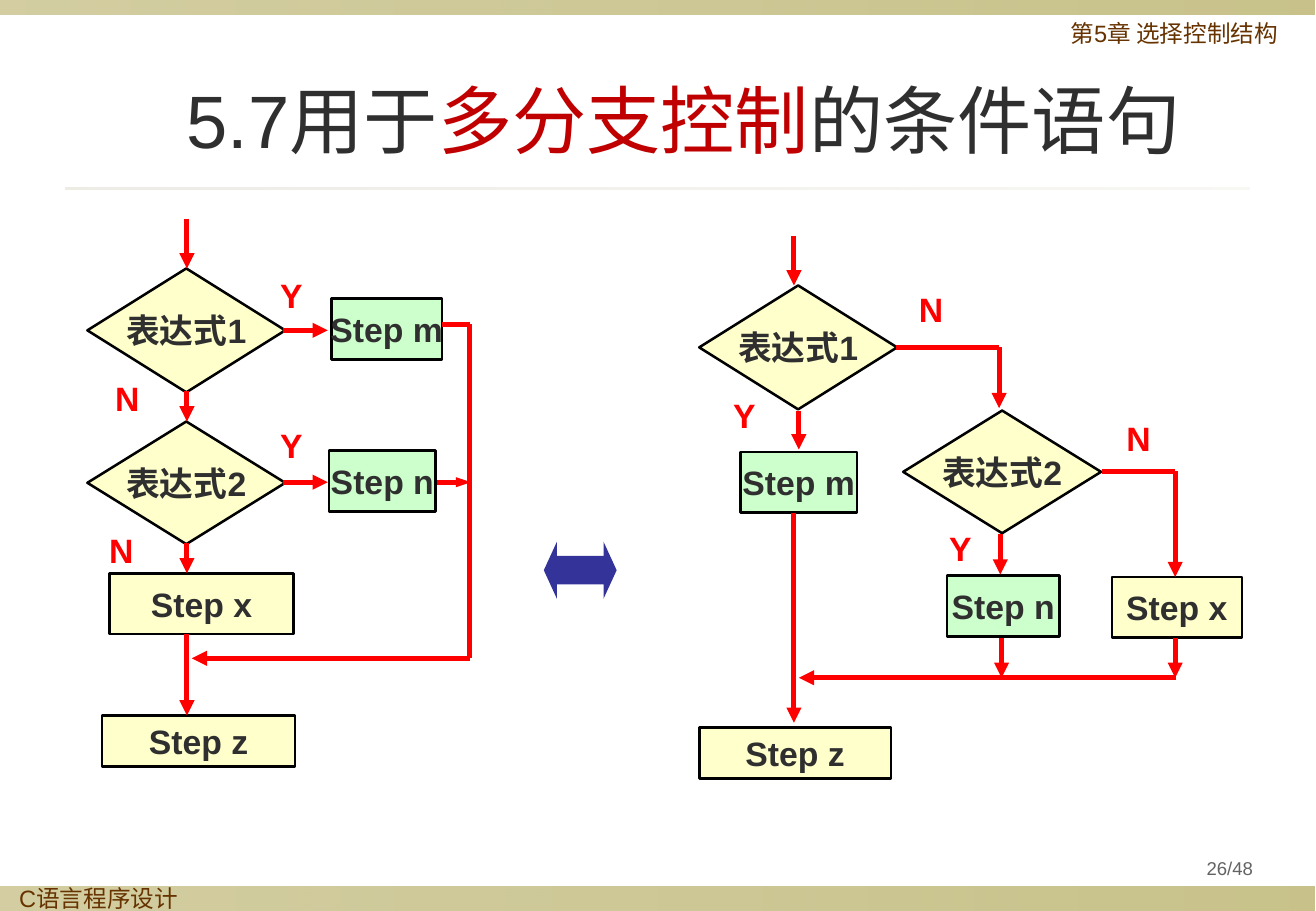
from dataclasses import dataclass
from itertools import pairwise

from lxml import etree
from pptx import Presentation
from pptx import util as u
from pptx.dml.color import RGBColor
from pptx.enum import shapes, text
from pptx.oxml import ns

PX = 9144  # EMU, 100 px to the inch
INK = RGBColor(0x2F, 0x2F, 0x2F)
RED = RGBColor(0xFF, 0x00, 0x00)
DARK_RED = RGBColor(0xC0, 0x00, 0x00)
BLACK = RGBColor(0x00, 0x00, 0x00)
CREAM = RGBColor(0xFF, 0xFF, 0xCC)
MINT = RGBColor(0xCC, 0xFF, 0xCC)
NAVY = RGBColor(0x33, 0x33, 0x99)
BROWN = RGBColor(0x66, 0x33, 0x00)
GRAY = RGBColor(0x63, 0x63, 0x63)
OLIVE = RGBColor(0x91, 0x84, 0x15)
SAND = RGBColor(0xDC, 0xD9, 0xCC)
LATIN, HAN = "Arial", "Noto Sans CJK SC"
RECT = shapes.MSO_SHAPE.RECTANGLE
DIAMOND = shapes.MSO_SHAPE.DIAMOND
LEFT, MID = text.PP_ALIGN.LEFT, text.PP_ALIGN.CENTER
TOP, CORE = text.MSO_ANCHOR.TOP, text.MSO_ANCHOR.MIDDLE

Area = tuple[int, int, int, int]


@dataclass
class Bar:
    area: Area
    color: RGBColor
    start: int
    end: int


@dataclass
class Piece:
    words: str
    color: RGBColor = INK
    font: str = LATIN


@dataclass
class Node:
    area: Area
    pieces: list[Piece]
    fill: RGBColor = CREAM
    kind: shapes.MSO_SHAPE = RECT


@dataclass
class Flow:
    """A route through points, with an arrowhead at its end."""
    points: list[tuple[int, int]]
    head: str = "med"


@dataclass
class Label:
    area: Area
    words: str
    color: RGBColor
    size: int
    bold: bool = False
    wrap: bool = True
    align: text.PP_ALIGN = LEFT
    anchor: text.MSO_ANCHOR = TOP
    lead: float = 1.0


def test(x: int, y: int, high: int, num: str) -> Node:
    return Node((x, y, 163, high), [Piece("表达式", font=HAN), Piece(num)], kind=DIAMOND)


def step(x: int, y: int, wide: int, high: int, name: str, fill: RGBColor = CREAM) -> Node:
    return Node((x, y, wide, high), [Piece("Step " + name)], fill)


def mark(x: int, y: int, word: str) -> Label:
    return Label((x, y, 40, 44), word, RED, 20, bold=True, wrap=False)


BARS = [
    Bar((0, 730, 1083, 20), OLIVE, 40, 50),
    Bar((0, 0, 1083, 12), OLIVE, 40, 50),
    Bar((54, 154, 975, 2), SAND, 50, 20),
]
TITLE = [Piece("5.7用于"), Piece("多分支控制", DARK_RED), Piece("的条件语句")]
NODES = [
    test(72, 221, 102, "1"), test(72, 347, 101, "2"),
    step(273, 246, 91, 50, "m", MINT), step(271, 371, 88, 50, "n", MINT),
    step(90, 472, 152, 50, "x"), step(84, 589, 159, 42, "z"),
    test(576, 235, 102, "1"), test(744, 338, 101, "2"),
    step(610, 372, 96, 50, "m", MINT), step(780, 474, 93, 50, "n", MINT),
    step(916, 475, 107, 50, "x"), step(576, 599, 158, 42, "z"),
]
FLOWS = [
    Flow([(154, 180), (154, 221)]),
    Flow([(154, 322), (154, 347)]),
    Flow([(154, 447), (154, 472)]),
    Flow([(154, 522), (154, 589)]),
    Flow([(233, 272), (270, 272)]),
    Flow([(233, 397), (270, 397)]),
    Flow([(360, 397), (388, 397)], "sm"),
    Flow([(364, 267), (387, 267), (387, 542), (158, 542)]),
    Flow([(654, 194), (654, 235)]),
    Flow([(658, 338), (658, 370)]),
    Flow([(654, 422), (654, 595)]),
    Flow([(738, 286), (823, 286), (823, 336)]),
    Flow([(824, 440), (824, 473)]),
    Flow([(908, 388), (968, 388), (968, 475)]),
    Flow([(825, 525), (825, 558)]),
    Flow([(968, 525), (968, 558)]),
    Flow([(969, 558), (658, 558)]),
]
LABELS = [
    Label((872, 13, 205, 39), "第5章 选择控制结构", BROWN, 14, lead=0.9),
    Label((6, 725, 235, 39), "C语言程序设计", BROWN, 14, lead=0.9),
    Label((959, 700, 108, 31), "26/48", GRAY, 11, align=MID, anchor=CORE, lead=0.9),
    mark(221, 221, "Y"), mark(85, 306, "N"), mark(221, 345, "Y"), mark(80, 431, "N"),
    mark(747, 233, "N"), mark(594, 320, "Y"), mark(918, 339, "N"), mark(772, 430, "Y"),
]


def emu(area: Area) -> list[int]:
    return [n * PX for n in area]


def write(frame, pieces: list[Piece], size: int, bold: bool = False,
          align: text.PP_ALIGN = MID, anchor: text.MSO_ANCHOR = CORE) -> None:
    frame.vertical_anchor = anchor
    para = frame.paragraphs[0]
    para.alignment = align
    for piece in pieces:
        run = para.add_run()
        run.text = piece.words
        font = run.font
        font.name, font.size, font.bold = piece.font, u.Pt(size), bold
        font.color.rgb = piece.color
        etree.SubElement(run._r.rPr, ns.qn("a:ea"), typeface=HAN)


def draw_bar(slide, bar: Bar) -> None:
    shape = slide.shapes.add_shape(RECT, *emu(bar.area))
    shape.shadow.inherit = False
    shape.line.fill.background()
    shape.fill.gradient()
    shape.fill.gradient_angle = 0
    for stop, share in zip(shape.fill.gradient_stops, (bar.start, bar.end)):
        stop.color.rgb = bar.color
        tint = stop._gs.find(ns.qn("a:srgbClr"))
        etree.SubElement(tint, ns.qn("a:alpha"), val=str(share * 1000))


def draw_node(slide, node: Node) -> None:
    shape = slide.shapes.add_shape(node.kind, *emu(node.area))
    shape.shadow.inherit = False
    shape.fill.solid()
    shape.fill.fore_color.rgb = node.fill
    shape.line.color.rgb = BLACK
    shape.line.width = u.Pt(1.5)
    shape.text_frame.word_wrap = False
    write(shape.text_frame, node.pieces, 20, True)


def draw_flow(slide, flow: Flow) -> None:
    for start, end in pairwise(flow.points):
        line = slide.shapes.add_connector(
            shapes.MSO_CONNECTOR.STRAIGHT, *emu(start + end))
        line.line.color.rgb = RED
        line.line.width = u.Pt(3)
        etree.SubElement(line._element.spPr, ns.qn("a:effectLst"))
    etree.SubElement(line.line._get_or_add_ln(), ns.qn("a:tailEnd"),
                     type="triangle", w=flow.head)


def draw_label(slide, label: Label) -> None:
    frame = slide.shapes.add_textbox(*emu(label.area)).text_frame
    frame.word_wrap = label.wrap
    write(frame, [Piece(label.words, label.color)], label.size, label.bold,
          label.align, label.anchor)
    frame.paragraphs[0].line_spacing = label.lead


def main() -> None:
    deck = Presentation()
    deck.slide_width, deck.slide_height = 1084 * PX, 750 * PX
    slide = deck.slides.add_slide(deck.slide_layouts[5])
    title = slide.shapes.title
    title.left, title.top, title.width, title.height = emu((47, 52, 1032, 92))
    write(title.text_frame, TITLE, 44)
    for draw, items in ((draw_bar, BARS), (draw_node, NODES),
                        (draw_flow, FLOWS), (draw_label, LABELS)):
        for item in items:
            draw(slide, item)
    arrow = slide.shapes.add_shape(
        shapes.MSO_SHAPE.LEFT_RIGHT_ARROW, *emu((448, 446, 60, 47)))
    arrow.adjustments[0], arrow.adjustments[1] = 0.5, 0.23
    arrow.shadow.inherit = False
    arrow.fill.solid()
    arrow.fill.fore_color.rgb = NAVY
    arrow.line.fill.background()
    deck.save("out.pptx")


if __name__ == "__main__":
    main()
